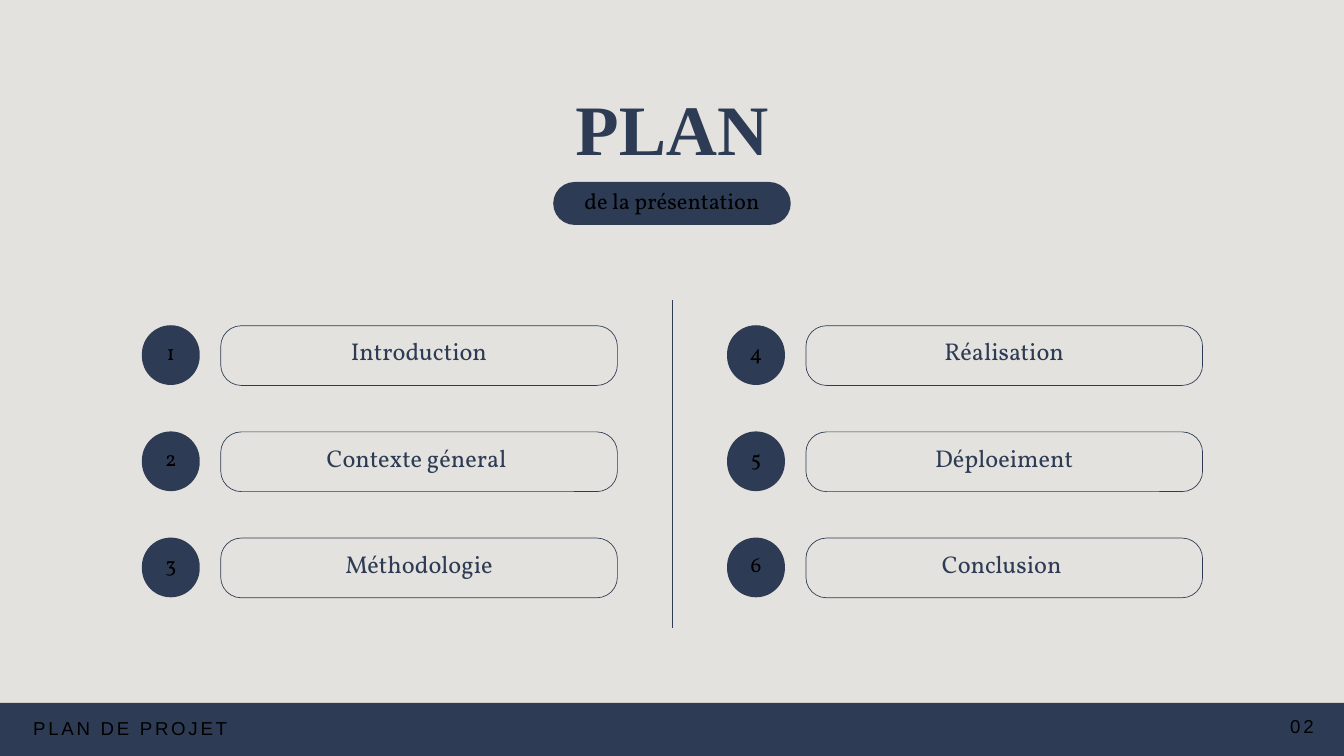
import pptx
import pptx.dml.color
import pptx.enum.shapes
import pptx.enum.text
import pptx.oxml
import pptx.util

Pt = pptx.util.Pt
SHAPES = pptx.enum.shapes.MSO_SHAPE
ALIGN = pptx.enum.text.PP_ALIGN
ANCHOR = pptx.enum.text.MSO_ANCHOR
NAVY, BLACK, BEIGE = "2D3C54", "000000", "E4E2DE"
color = pptx.dml.color.RGBColor.from_string


def write(shape, text, font="Vollkorn", size=24, fill=BLACK, bold=False, align=ALIGN.CENTER,
          anchor=ANCHOR.MIDDLE, inset=4, line=None, tracking=None):
    frame = shape.text_frame
    frame.word_wrap = True
    frame.auto_size = pptx.enum.text.MSO_AUTO_SIZE.NONE
    frame.vertical_anchor = anchor
    frame.margin_left = frame.margin_right = frame.margin_top = frame.margin_bottom = Pt(inset)
    paragraph = frame.paragraphs[0]
    paragraph.alignment = align
    paragraph.line_spacing = Pt(line or size * 1.4)
    paragraph.space_before = Pt(0)
    run = paragraph.add_run()
    run.text = text
    run.font.name, run.font.size, run.font.bold = font, Pt(size), bold
    run.font.color.rgb = color(fill)
    if tracking:
        run._r.get_or_add_rPr().set("spc", str(round(tracking * 100)))


def add_badge(left, top, width, height, radius, text, lift, filled=True, **text_format):
    """Rounded shape grouped with a label whose box starts above it by lift."""
    group = slide.shapes.add_group_shape()
    shape = group.shapes.add_shape(
        SHAPES.ROUNDED_RECTANGLE, Pt(left), Pt(top), Pt(width), Pt(height))
    shape.adjustments[0] = radius / min(width, height)
    shape.shadow.inherit = False
    if filled:
        shape.fill.solid()
        shape.fill.fore_color.rgb = color(NAVY)
        shape.line.fill.background()
    else:
        shape.fill.background()
        shape.line.color.rgb = color(NAVY)
        shape.line.width = Pt(0.75)
    label = group.shapes.add_textbox(Pt(left), Pt(top - lift), Pt(width), Pt(height + lift))
    write(label, text, **text_format)


presentation = pptx.Presentation()
presentation.slide_width, presentation.slide_height = Pt(1440), Pt(810)
slide = presentation.slides.add_slide(presentation.slide_layouts[5])
slide.background.fill.solid()
slide.background.fill.fore_color.rgb = color(BEIGE)

# Title and subtitle pill
title = slide.shapes.title
title.left, title.top, title.width, title.height = Pt(314.5), Pt(94.5), Pt(811), Pt(88.5)
write(title, "PLAN", font="Times New Roman", size=76, fill=NAVY, bold=True,
      anchor=ANCHOR.TOP, inset=0, line=87.4)
add_badge(592.75, 195, 254.5, 46, 23, "de la présentation", lift=11.5)

# Numbered agenda in two columns
columns = [
    (152, ["Introduction", "Contexte géneral ", "Méthodologie"]),
    (779, ["Réalisation", "Déploeiment", "Conclusion "]),
]
number = 0
for left, topics in columns:
    for row, topic in enumerate(topics):
        number += 1
        top = 348.5 + row * 113.75
        add_badge(left, top, 62, 64, 31, str(number), lift=11.5, size=23)
        add_badge(left + 84.5, top + 0.5, 425, 64, 22, topic, lift=14.5,
                  filled=False, size=26, fill=NAVY)

# Divider between the columns
divider = slide.shapes.add_connector(
    pptx.enum.shapes.MSO_CONNECTOR.STRAIGHT, Pt(720.5), Pt(672.5), Pt(720.5), Pt(321))
divider.line.color.rgb = color(NAVY)
divider.line.width = Pt(0.75)
divider._element.spPr.append(pptx.oxml.parse_xml(
    '<a:effectLst xmlns:a="http://schemas.openxmlformats.org/drawingml/2006/main"/>'))

# Footer band with section name and page number
band = slide.shapes.add_shape(SHAPES.RECTANGLE, Pt(0), Pt(753), Pt(1440), Pt(57))
band.shadow.inherit = False
band.fill.solid()
band.fill.fore_color.rgb = color(NAVY)
band.line.fill.background()
for left, top, width, text, align in [
    (799, 762, 608.5, "02", ALIGN.RIGHT),
    (35.5, 764, 600, "PLAN DE PROJET", ALIGN.LEFT),
]:
    footer = slide.shapes.add_textbox(Pt(left), Pt(top), Pt(width), Pt(28))
    write(footer, text, font="Arial", size=20, align=align, anchor=ANCHOR.TOP,
          inset=0, tracking=2.9)

presentation.save("out.pptx")
